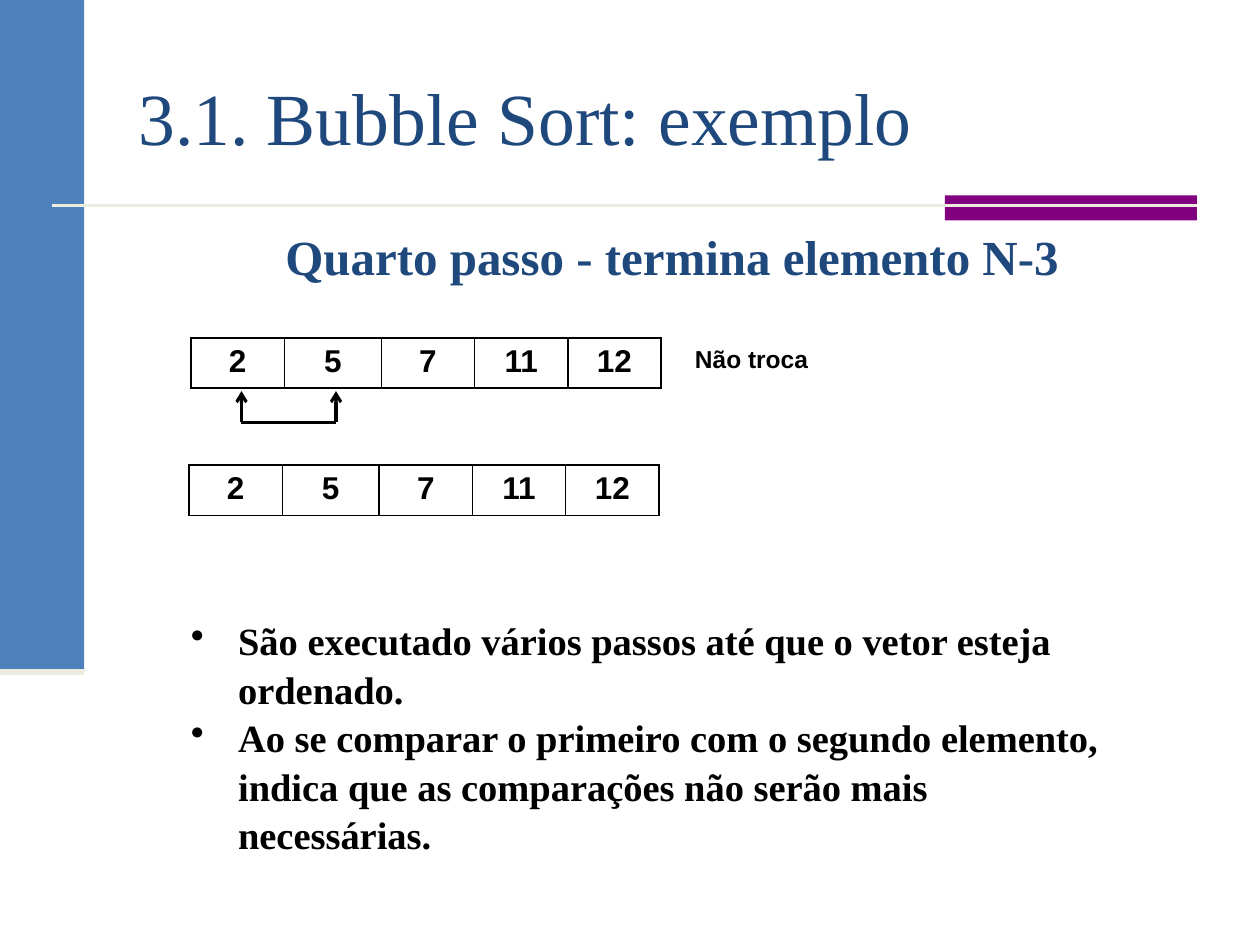
from dataclasses import dataclass

from lxml.etree import SubElement
from pptx import Presentation
from pptx.dml.color import RGBColor
from pptx.enum.shapes import MSO_CONNECTOR, MSO_SHAPE
from pptx.enum.text import MSO_ANCHOR as Anchor, PP_ALIGN as Align
from pptx.oxml.ns import qn
from pptx.util import Pt


@dataclass(frozen=True)
class Theme:
    blue: str = "4F81BD"
    purple: str = "800080"
    cream: str = "EEECE1"
    navy: str = "1F497D"
    black: str = "000000"
    serif: str = "Times New Roman"
    sans: str = "Arial"
    title: int = 42
    subtitle: int = 28
    body: int = 22
    cell: int = 18
    label: int = 14


THEME = Theme()
COLUMNS = (53.3, 55.4, 53.3, 53.3, 53.3)
VALUES = (2, 5, 7, 11, 12)


def set_font(para, size, name, color, bold=True):
    font = para.font
    font.size, font.name, font.bold = Pt(size), name, bold
    font.color.rgb = RGBColor.from_string(color)


def add_block(page, box, color):
    block = page.shapes.add_shape(MSO_SHAPE.RECTANGLE, *map(Pt, box))
    block.shadow.inherit = False
    block.fill.solid()
    block.fill.fore_color.rgb = RGBColor.from_string(color)
    block.line.fill.background()


def add_line(page, start, end, color, width, arrow=False):
    line = page.shapes.add_connector(MSO_CONNECTOR.STRAIGHT, *map(Pt, start + end))
    line.line.color.rgb = RGBColor.from_string(color)
    line.line.width = Pt(width)
    if arrow:
        SubElement(line.line._get_or_add_ln(), qn("a:headEnd"), type="arrow")
    SubElement(line._element.spPr, qn("a:effectLst"))


def add_text(page, box, lines, size, name, color, bold=True,
             align=Align.LEFT, anchor=Anchor.TOP):
    frame = page.shapes.add_textbox(*map(Pt, box)).text_frame
    frame.word_wrap = True
    frame.vertical_anchor = anchor
    frame.text = "\n".join(lines)
    for para in frame.paragraphs:
        para.alignment = align
        set_font(para, size, name, color, bold)
    return frame


def add_frame(page, width, height):
    """Side band, rules and accent bar."""
    band_width, band_height = 48.2, 384
    rule_y = 117.6
    add_block(page, (0, 0, band_width, band_height), THEME.blue)
    add_block(page, (0.75 * width, 111.6, 0.2 * width, 14.4), THEME.purple)
    add_line(page, (30, rule_y), (0.95 * width, rule_y), THEME.cream, 1.5)
    add_line(page, (0, band_height), (band_width, band_height), THEME.cream, 3.5)


def draw_borders(cell):
    props = cell._tc.get_or_add_tcPr()
    for position, side in enumerate(("lnL", "lnR", "lnT", "lnB")):
        border = SubElement(props, qn(f"a:{side}"), w=str(Pt(1)))
        fill = SubElement(border, qn("a:solidFill"))
        SubElement(fill, qn("a:srgbClr"), val=THEME.black)
        props.insert(position, border)


def add_vector(page, box):
    """One-row table holding the vector."""
    table = page.shapes.add_table(1, len(VALUES), *map(Pt, box)).table
    table.first_row = table.horz_banding = False
    table.rows[0].height = Pt(box[3])
    for column, width, cell, value in zip(table.columns, COLUMNS,
                                          table.rows[0].cells, VALUES):
        column.width = Pt(width)
        cell.text = str(value)
        cell.fill.background()
        draw_borders(cell)
        para = cell.text_frame.paragraphs[0]
        para.alignment = Align.CENTER
        set_font(para, THEME.cell, THEME.sans, THEME.black)


def add_comparison(page, box):
    """Bracket with an arrow up to each compared element."""
    left, top, width, height = box
    right, bottom = left + width, top + height
    for x in (left, right):
        add_line(page, (x, top), (x, bottom), THEME.black, 1.75, arrow=True)
    add_line(page, (left, bottom), (right, bottom), THEME.black, 1.75)


def add_bullets(page, box, lines):
    """Bulleted conclusions with a hanging indent."""
    frame = add_text(page, box, lines, THEME.body, THEME.serif, THEME.black)
    for para in frame.paragraphs:
        para.line_spacing = 1.05
        props = para._p.get_or_add_pPr()
        props.set("marL", str(Pt(27)))
        props.set("indent", str(-Pt(27)))
        bullet = SubElement(props, qn("a:buChar"), char="•")
        props.find(qn("a:defRPr")).addprevious(bullet)


def main():
    deck = Presentation()
    deck.slide_width, deck.slide_height = Pt(720), Pt(540)
    page = deck.slides.add_slide(deck.slide_layouts[6])

    add_frame(page, 720, 540)

    # Headings
    add_text(page, (72, 21.6, 612, 90), ["3.1. Bubble Sort: exemplo"], THEME.title,
             THEME.serif, THEME.navy, bold=False, anchor=Anchor.MIDDLE)
    add_text(page, (66, 126, 636, 41), ["Quarto passo - termina elemento N-3"],
             THEME.subtitle, THEME.serif, THEME.navy, align=Align.CENTER)

    # Vector before and after the comparison
    for left, top in ((109.2, 193), (108, 265.7)):
        add_vector(page, (left, top, sum(COLUMNS), 28.4))
    add_text(page, (390, 193, 276, 24.5), ["Não troca"], THEME.label,
             THEME.sans, THEME.black)
    add_comparison(page, (138, 223.5, 54, 17.7))

    add_bullets(page, (102, 347.8, 540, 140.4), [
        "São executado vários passos até que o vetor esteja ordenado.",
        "Ao se comparar o primeiro com o segundo elemento, "
        "indica que as comparações não serão mais necessárias.",
    ])

    deck.save("out.pptx")


if __name__ == "__main__":
    main()
